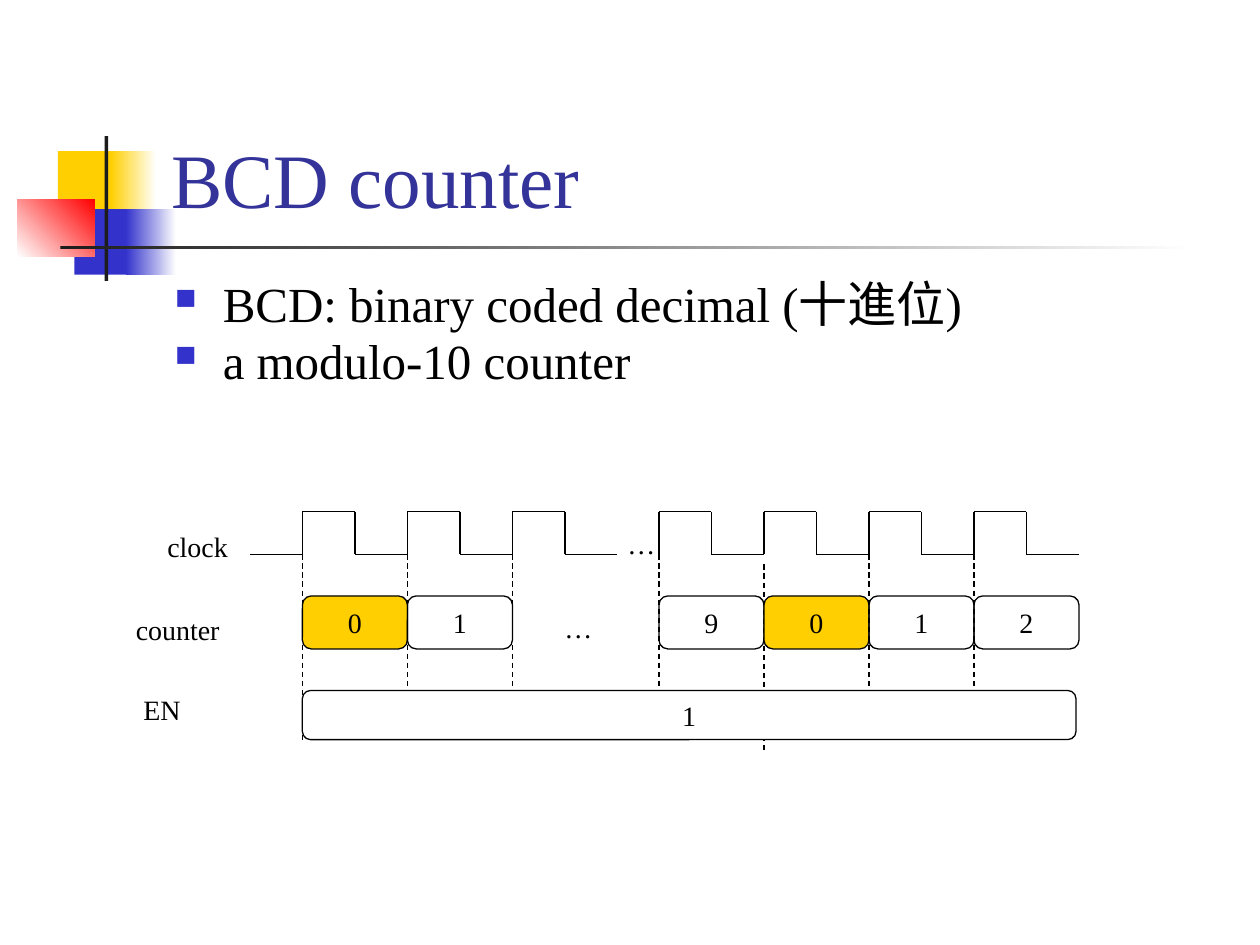
from lxml import etree
from pptx import Presentation
from pptx.dml.color import RGBColor
from pptx.enum.dml import MSO_LINE
from pptx.enum.shapes import MSO_CONNECTOR, MSO_SHAPE
from pptx.enum.text import MSO_ANCHOR, MSO_AUTO_SIZE, PP_ALIGN
from pptx.oxml.ns import qn
from pptx.util import Inches, Pt

FONT = "Times New Roman"
BLACK, WHITE, YELLOW, BLUE, DARK = "000000", "FFFFFF", "FFCF01", "3333CC", "1C1C1C"

PERIOD = 5 / 6
HIGH, LOW = 4.06, 4.4
COUNTER_TOP, COUNTER_HEIGHT = 4.73, 0.42
# Left edge of each run of clock periods, with the counter value in each period.
RUNS = [(2.4, ["0", "1", None]), (5.23, ["9", "0", "1", "2"])]


def color(value):
    return RGBColor.from_string(value)


def add_run(paragraph, text, size, text_color=BLACK):
    run = paragraph.add_run()
    run.text = text
    run.font.name = FONT
    run.font.size = Pt(size)
    run.font.color.rgb = color(text_color)


def add_block(slide, left, top, width, height, start, end=None, angle=0):
    """Add a borderless rectangle, plain or fading from start to end."""
    shape = slide.shapes.add_shape(
        MSO_SHAPE.RECTANGLE, Inches(left), Inches(top), Inches(width), Inches(height))
    shape.shadow.inherit = False
    shape.line.fill.background()
    if end is None:
        shape.fill.solid()
        shape.fill.fore_color.rgb = color(start)
        return
    shape.fill.gradient()
    shape.fill.gradient_angle = angle
    for stop, value in zip(shape.fill.gradient_stops, (start, end)):
        stop.color.rgb = color(value)


def add_line(slide, start, end, dashed=False):
    connector = slide.shapes.add_connector(
        MSO_CONNECTOR.STRAIGHT, *[Inches(value) for value in (*start, *end)])
    connector.line.color.rgb = color(BLACK)
    connector.line.width = Pt(0.75)
    if dashed:
        connector.line.dash_style = MSO_LINE.DASH
    properties = connector._element.spPr
    etree.SubElement(properties, qn("a:effectLst"))


def add_value_box(slide, left, top, width, height, text, fill=None):
    shape = slide.shapes.add_shape(
        MSO_SHAPE.ROUNDED_RECTANGLE,
        Inches(left), Inches(top), Inches(width), Inches(height))
    shape.shadow.inherit = False
    shape.line.color.rgb = color(BLACK)
    shape.line.width = Pt(0.75)
    if fill:
        shape.fill.solid()
        shape.fill.fore_color.rgb = color(fill)
    else:
        shape.fill.background()
    frame = shape.text_frame
    frame.word_wrap = False
    frame.vertical_anchor = MSO_ANCHOR.MIDDLE
    paragraph = frame.paragraphs[0]
    paragraph.alignment = PP_ALIGN.CENTER
    add_run(paragraph, text, 16)


def add_text_frame(slide, left, top, width, height):
    box = slide.shapes.add_textbox(
        Inches(left), Inches(top), Inches(width), Inches(height))
    return box.text_frame


def add_label(slide, left, top, width, text):
    frame = add_text_frame(slide, left, top, width, 0.37)
    frame.word_wrap = False
    frame.auto_size = MSO_AUTO_SIZE.SHAPE_TO_FIT_TEXT
    add_run(frame.paragraphs[0], text, 16)


def add_title(slide, text):
    frame = add_text_frame(slide, 1.26, 0.23, 8.52, 1.6)
    frame.word_wrap = True
    frame.vertical_anchor = MSO_ANCHOR.BOTTOM
    add_run(frame.paragraphs[0], text, 44, "333399")


def set_bullet(paragraph):
    properties = paragraph._p.get_or_add_pPr()
    properties.set("marL", str(Inches(0.38)))
    properties.set("indent", str(Inches(-0.38)))
    bullet_color = etree.SubElement(properties, qn("a:buClr"))
    etree.SubElement(bullet_color, qn("a:srgbClr"), val=BLUE)
    etree.SubElement(properties, qn("a:buSzPct"), val="60000")
    etree.SubElement(properties, qn("a:buChar"), char="■")


def add_bullets(slide, lines):
    frame = add_text_frame(slide, 1.29, 2.21, 8.5, 0.99)
    frame.word_wrap = True
    for index, line in enumerate(lines):
        paragraph = frame.add_paragraph() if index else frame.paragraphs[0]
        paragraph.line_spacing = 0.8
        paragraph.space_before = Pt(5.6)
        set_bullet(paragraph)
        add_run(paragraph, line, 28)


def add_decoration(slide):
    add_block(slide, 0.46, 1.2, 0.48, 0.52, YELLOW)
    add_block(slide, 0.88, 1.2, 0.36, 0.52, YELLOW, WHITE)
    add_block(slide, 0.59, 1.66, 0.46, 0.52, BLUE)
    add_block(slide, 1, 1.66, 0.4, 0.52, BLUE, WHITE)
    add_block(slide, 0.14, 1.58, 0.61, 0.46, WHITE, "FF0000", angle=45)
    add_block(slide, 0.83, 1.08, 0.03, 1.15, DARK)
    add_block(slide, 0.48, 1.95, 9, 0.03, DARK, WHITE)


def add_clock_period(slide, left):
    middle, right = left + PERIOD / 2, left + PERIOD
    points = [(left, LOW), (left, HIGH), (middle, HIGH), (middle, LOW), (right, LOW)]
    for start, end in zip(points, points[1:]):
        add_line(slide, start, end)


def add_timing_diagram(slide):
    first_edge = RUNS[0][0]
    add_line(slide, (first_edge - PERIOD / 2, LOW), (first_edge, LOW))
    for run_left, values in RUNS:
        for index, value in enumerate(values):
            left = run_left + index * PERIOD
            add_clock_period(slide, left)
            # The guide at the wrap from 9 to 0 sits slightly lower.
            guide_top = 4.48 if index and value == "0" else LOW
            add_line(slide, (left, guide_top), (left, guide_top + 1.5), dashed=True)
            if value is not None:
                add_value_box(slide, left, COUNTER_TOP, PERIOD, COUNTER_HEIGHT, value,
                              YELLOW if value == "0" else None)
    add_value_box(slide, first_edge, 5.48, 6.14, 0.39, "1", WHITE)

    add_label(slide, 1.23, 4.15, 0.68, "clock")
    add_label(slide, 0.98, 4.81, 0.87, "counter")
    add_label(slide, 1.04, 5.45, 0.5, "EN")
    add_label(slide, 4.88, 4.13, 0.42, "…")
    add_label(slide, 4.38, 4.8, 0.42, "…")


def main():
    presentation = Presentation()
    presentation.slide_width = Inches(10)
    presentation.slide_height = Inches(7.5)
    slide = presentation.slides.add_slide(presentation.slide_layouts[6])
    add_decoration(slide)
    add_title(slide, "BCD counter")
    add_bullets(slide, ["BCD: binary coded decimal (十進位)", "a modulo-10 counter"])
    add_timing_diagram(slide)
    presentation.save("out.pptx")


if __name__ == "__main__":
    main()
